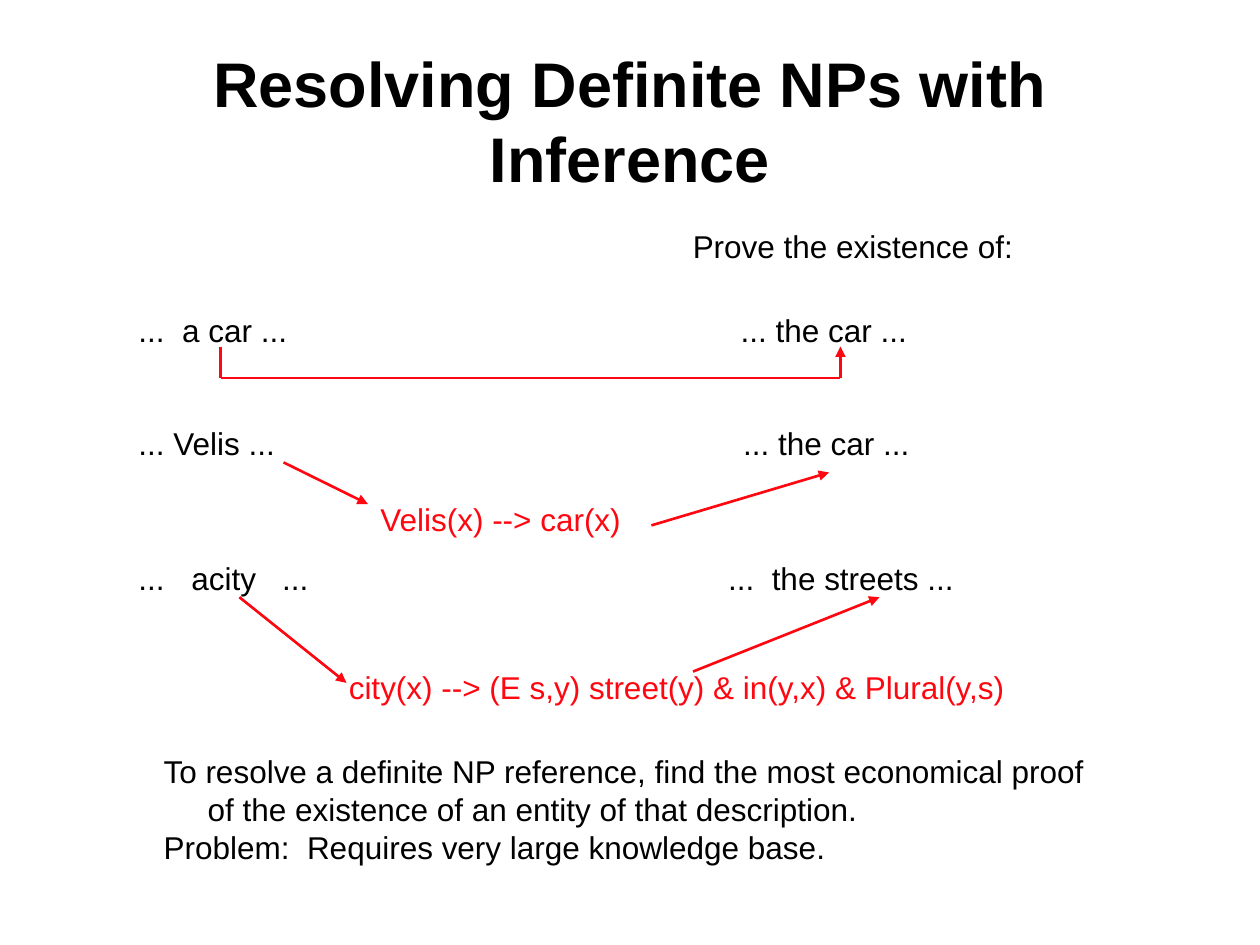
from pptx import Presentation
from pptx import util as u
from pptx.dml.color import RGBColor
from pptx.enum import shapes, text
from pptx.oxml.ns import qn
from lxml import etree

BLACK, RED = "000000", "FF0710"


def paint(color, code):
    color.rgb = RGBColor.from_string(code)


def child(node, tag, **attrs):
    return etree.SubElement(node, qn(tag), attrs)


def write(para, words, size=18, code=BLACK, bold=False, lead=21.6):
    para.line_spacing = u.Pt(lead)
    run = para.add_run()
    run.text = words
    run.font.name = "Arial"
    run.font.size = u.Pt(size)
    run.font.bold = bold
    paint(run.font.color, code)


def add_title(slide, words):
    title = slide.shapes.title
    title.left, title.top = u.Inches(0.75), u.Inches(0.33)
    title.width, title.height = u.Inches(8.5), u.Inches(1.25)
    frame = title.text_frame
    frame.vertical_anchor = text.MSO_ANCHOR.MIDDLE
    para = frame.paragraphs[0]
    para.alignment = text.PP_ALIGN.CENTER
    write(para, words, 36, bold=True, lead=43)


def add_box(slide, left, top, width, height, wrap=True):
    box = slide.shapes.add_textbox(*map(u.Inches, (left, top, width, height)))
    box.text_frame.word_wrap = wrap
    return box.text_frame


def add_label(slide, words, left, top, width, code):
    frame = add_box(slide, left, top, width, 0.4, False)
    write(frame.paragraphs[0], words, code=code)


def add_rows(slide, rows):
    frame = add_box(slide, 1, 2.42, 6.75, 2.37)
    for i, (words, stops, gap) in enumerate(rows):
        para = frame.add_paragraph() if i else frame.paragraphs[0]
        tabs = child(para._p.get_or_add_pPr(), "a:tabLst")
        for stop in stops:
            child(tabs, "a:tab", pos=str(u.Inches(stop)), algn="l")
        if gap:
            para.space_before = u.Pt(gap)
        write(para, words)


def add_notes(slide, lines):
    frame = add_box(slide, 1.2, 5.92, 7.6, 1)
    hang = u.Inches(0.35)
    for i, words in enumerate(lines):
        para = frame.add_paragraph() if i else frame.paragraphs[0]
        props = para._p.get_or_add_pPr()
        props.set("marL", str(hang))
        props.set("indent", str(-hang))
        write(para, words)


def add_line(slide, start, end, arrow=True):
    line = slide.shapes.add_connector(
        shapes.MSO_CONNECTOR.STRAIGHT, *map(u.Inches, start + end))
    paint(line.line.color, RED)
    line.line.width = u.Pt(1.5)
    if arrow:
        child(line.line._get_or_add_ln(), "a:tailEnd", type="triangle")
    child(line._element.spPr, "a:effectLst")


def add_path(slide, *points):
    last = len(points) - 2
    for i, (start, end) in enumerate(zip(points, points[1:])):
        add_line(slide, start, end, i == last)


def main():
    deck = Presentation()
    deck.slide_width, deck.slide_height = u.Inches(10), u.Inches(7.5)
    slide = deck.slides.add_slide(deck.slide_layouts[5])

    add_title(slide, "Resolving Definite NPs with Inference")
    add_rows(slide, [
        ("...  a car ...\t... the car ...", [4.78], 0),
        ("... Velis ...\t... the car ...", [4.8], 43),
        ("...\tacity\t...\t...  the streets ...", [0.42, 1.14, 4.68], 55.5),
    ])
    add_label(slide, "Velis(x) --> car(x)", 2.92, 3.92, 2.15, RED)
    add_label(slide, "city(x) --> (E s,y) street(y) & in(y,x) & Plural(y,s)",
              2.67, 5.25, 5.44, RED)
    add_label(slide, "Prove the existence of:", 5.4, 1.75, 2.74, BLACK)
    add_notes(slide, [
        "To resolve a definite NP reference, find the most economical proof "
        "of the existence of an entity of that description.",
        "Problem:  Requires very large knowledge base.",
    ])

    add_path(slide, (2.25, 3.67), (2.92, 4))
    add_path(slide, (5.17, 4.17), (6.58, 3.75))
    add_path(slide, (1.9, 4.74), (2.75, 5.42))
    add_path(slide, (5.5, 5.33), (6.98, 4.74))
    add_path(slide, (1.75, 2.75), (1.75, 3), (6.67, 3), (6.67, 2.75))

    deck.save("out.pptx")


if __name__ == "__main__":
    main()
